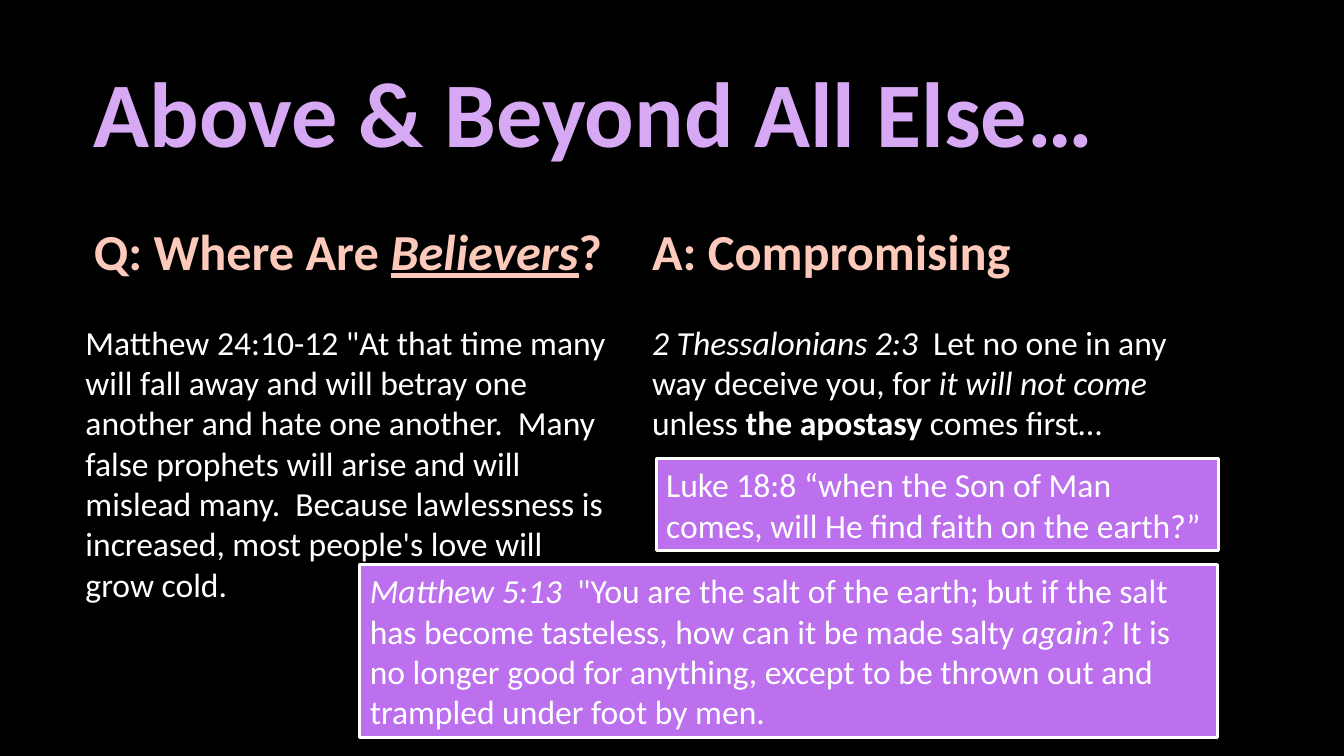
from dataclasses import dataclass

import pptx
import pptx.dml.color
import pptx.enum.shapes
import pptx.enum.text
import pptx.oxml.ns
import pptx.slide
import pptx.text.text
import pptx.util
from lxml import etree

Cm = pptx.util.Cm
Pt = pptx.util.Pt
Anchor = pptx.enum.text.MSO_ANCHOR

BLACK, WHITE = "000000", "FFFFFF"
LILAC, PURPLE, PEACH = "D7A9F5", "BC70EE", "FCC9BB"
COMPARISON_LAYOUT = 4


@dataclass(frozen=True)
class Span:
    text: str
    italic: bool = False
    bold: bool = False
    underline: bool = False


@dataclass(frozen=True)
class Area:
    """Left, top, width and height in centimetres."""
    left: float
    top: float
    width: float
    height: float

    def lengths(self) -> tuple[pptx.util.Cm, ...]:
        return Cm(self.left), Cm(self.top), Cm(self.width), Cm(self.height)


@dataclass(frozen=True)
class Style:
    size: int
    color: str
    anchor: Anchor
    space_after: int = 0
    bold: bool = False


@dataclass(frozen=True)
class Passage:
    placeholder: int
    area: Area
    style: Style
    spans: tuple[Span, ...]


@dataclass(frozen=True)
class VerseBox:
    area: Area
    spans: tuple[Span, ...]


TITLE = Style(66, LILAC, Anchor.MIDDLE, bold=True)
HEADING = Style(36, PEACH, Anchor.BOTTOM, space_after=10, bold=True)
VERSE = Style(24, WHITE, Anchor.TOP, space_after=10)
BOXED_VERSE = Style(24, WHITE, Anchor.MIDDLE)

PASSAGES = (
    Passage(0, Area(2.11, 0.76, 28.14, 4.04), TITLE,
            (Span("Above & Beyond All Else…"),)),
    Passage(1, Area(2.11, 5.59, 13.87, 1.6), HEADING,
            (Span("Q: Where Are "),
             Span("Believers", italic=True, underline=True),
             Span("?"))),
    Passage(2, Area(1.9, 7.98, 13.87, 8.1), VERSE,
            (Span("Matthew 24:10-12 \"At that time many will fall away and will "
                  "betray one another and hate one another.  Many false prophets "
                  "will arise and will mislead many.  Because lawlessness is "
                  "increased, most people's love will grow cold."),)),
    Passage(3, Area(16.18, 5.59, 15.29, 1.6), HEADING,
            (Span("A: Compromising"),)),
    Passage(4, Area(16.18, 7.98, 13.87, 8.1), VERSE,
            (Span("2 Thessalonians 2:3 ", italic=True),
             Span(" Let no one in any way deceive you, for "),
             Span("it will not come", italic=True),
             Span(" unless "),
             Span("the apostasy ", bold=True),
             Span("comes first…"))),
)

VERSE_BOXES = (
    VerseBox(Area(16.54, 11.56, 14.17, 2.31),
             (Span("Luke 18:8 “when the Son of Man comes, will He find faith "
                   "on the earth?”"),)),
    VerseBox(Area(9.07, 14.22, 21.62, 4.37),
             (Span("Matthew 5:13 ", italic=True),
              Span(" \"You are the salt of the earth; but if the salt has become "
                   "tasteless, how can it be made salty "),
              Span("again?", italic=True),
              Span(" It is no longer good for anything, except to be thrown out "
                   "and trampled under foot by men."))),
)


def rgb(color: str) -> pptx.dml.color.RGBColor:
    return pptx.dml.color.RGBColor.from_string(color)


def remove_bullet(paragraph: pptx.text.text._Paragraph) -> None:
    properties = paragraph._p.get_or_add_pPr()
    properties.set("marL", "0")
    properties.set("indent", "0")
    etree.SubElement(properties, pptx.oxml.ns.qn("a:buNone"))


def write(frame: pptx.text.text.TextFrame, spans: tuple[Span, ...],
          style: Style) -> None:
    frame.word_wrap = True
    frame.auto_size = pptx.enum.text.MSO_AUTO_SIZE.NONE
    frame.vertical_anchor = style.anchor
    paragraph = frame.paragraphs[0]
    remove_bullet(paragraph)
    paragraph.alignment = pptx.enum.text.PP_ALIGN.LEFT
    paragraph.space_before = Pt(0)
    paragraph.space_after = Pt(style.space_after)
    for span in spans:
        run = paragraph.add_run()
        run.text = span.text
        run.font.name = "Calibri"
        run.font.size = Pt(style.size)
        run.font.color.rgb = rgb(style.color)
        run.font.bold = style.bold or span.bold
        run.font.italic = span.italic
        run.font.underline = span.underline


def fill_placeholder(slide: pptx.slide.Slide, passage: Passage) -> None:
    holder = slide.placeholders[passage.placeholder]
    holder.left, holder.top, holder.width, holder.height = passage.area.lengths()
    write(holder.text_frame, passage.spans, passage.style)


def add_verse_box(slide: pptx.slide.Slide, verse: VerseBox) -> None:
    box = slide.shapes.add_shape(
        pptx.enum.shapes.MSO_SHAPE.RECTANGLE, *verse.area.lengths())
    box.shadow.inherit = False
    box.fill.solid()
    box.fill.fore_color.rgb = rgb(PURPLE)
    box.line.color.rgb = rgb(WHITE)
    box.line.width = Pt(2)
    write(box.text_frame, verse.spans, BOXED_VERSE)


def main() -> None:
    deck = pptx.Presentation()
    deck.slide_width, deck.slide_height = Cm(33.87), Cm(19.05)
    slide = deck.slides.add_slide(deck.slide_layouts[COMPARISON_LAYOUT])
    slide.background.fill.solid()
    slide.background.fill.fore_color.rgb = rgb(BLACK)
    for passage in PASSAGES:
        fill_placeholder(slide, passage)
    for verse in VERSE_BOXES:
        add_verse_box(slide, verse)
    deck.save("out.pptx")


if __name__ == "__main__":
    main()
